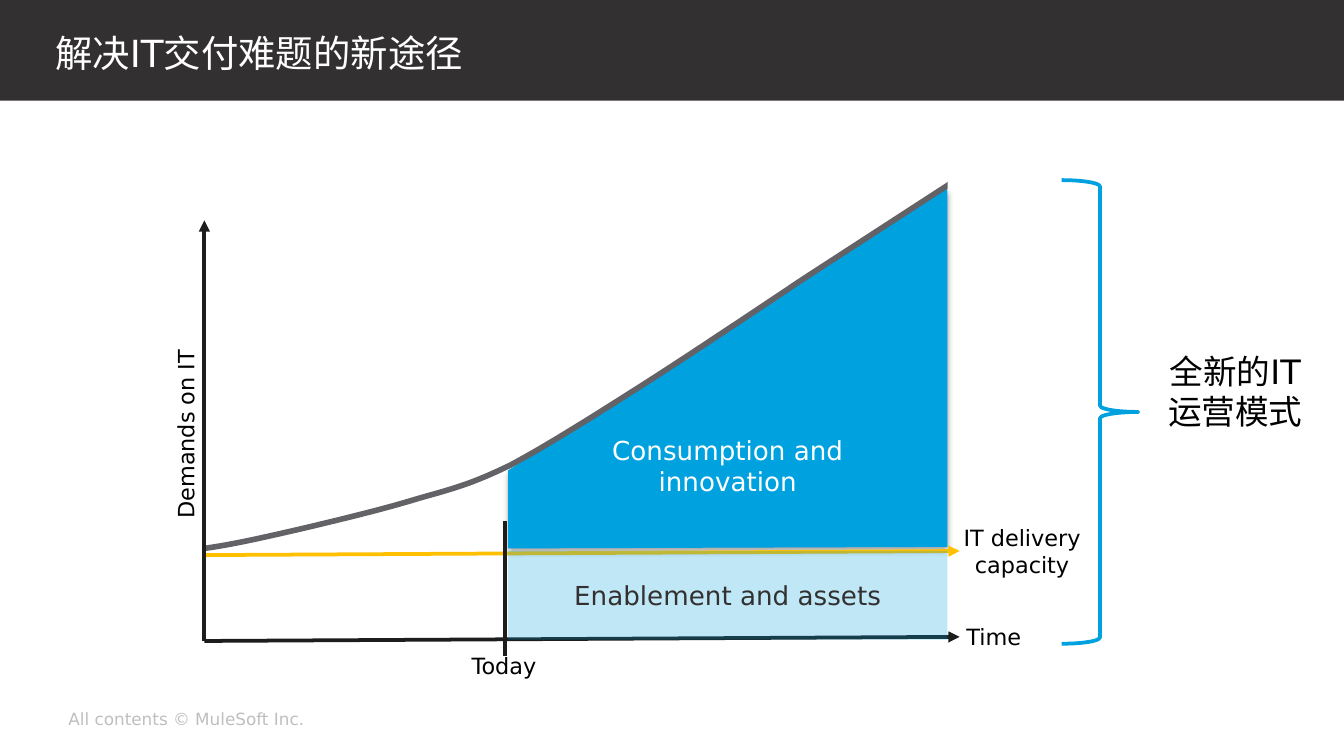
from dataclasses import dataclass

from lxml import etree
from pptx import Presentation
from pptx.dml.color import RGBColor
from pptx.enum.shapes import MSO_CONNECTOR, MSO_SHAPE
from pptx.enum.text import MSO_ANCHOR, PP_ALIGN
from pptx.oxml.ns import qn
from pptx.util import Pt

RECT, BRACE = MSO_SHAPE.RECTANGLE, MSO_SHAPE.RIGHT_BRACE
STRAIGHT = MSO_CONNECTOR.STRAIGHT
TOP, MIDDLE = MSO_ANCHOR.TOP, MSO_ANCHOR.MIDDLE
LEFT, CENTER = PP_ALIGN.LEFT, PP_ALIGN.CENTER


@dataclass(frozen=True)
class Theme:
    font: str = "DejaVu Sans"
    white: str = "FFFFFF"
    black: str = "000000"
    dark: str = "323031"
    axis: str = "1D1D1C"
    blue: str = "00A1DF"
    amber: str = "FFC000"
    curve: str = "626267"
    muted: str = "BFBFBF"
    title_size: int = 20
    model_size: int = 18
    area_size: int = 14
    label_size: int = 12
    footer_size: int = 9


THEME = Theme()


def write(shape, text, size, color, align=LEFT, anchor=TOP, insets=(0, 0, 0, 0), wrap=True):
    frame = shape.text_frame
    frame.word_wrap = wrap
    frame.vertical_anchor = anchor
    frame.margin_left, frame.margin_top, frame.margin_right, frame.margin_bottom = map(Pt, insets)
    paragraph = frame.paragraphs[0]
    paragraph.text = text
    paragraph.alignment = align
    paragraph.font.name = THEME.font
    paragraph.font.size = Pt(size)
    paragraph.font.color.rgb = RGBColor.from_string(color)
    return paragraph


def add_label(slide, box, text, size, color, **layout):
    label = slide.shapes.add_textbox(*map(Pt, box))
    write(label, text, size, color, **layout)
    return label


def paint(shape, fill=None, line=None, width=2):
    shape.shadow.inherit = False
    if fill:
        shape.fill.solid()
        shape.fill.fore_color.rgb = RGBColor.from_string(fill)
    else:
        shape.fill.background()
    if line:
        shape.line.color.rgb = RGBColor.from_string(line)
        shape.line.width = Pt(width)
    else:
        shape.line.fill.background()
    return shape


def add_block(slide, box, **colors):
    kind = colors.pop("kind", RECT)
    return paint(slide.shapes.add_shape(kind, *map(Pt, box)), **colors)


def add_outline(slide, points, close, **colors):
    # Scale of 100 units per point keeps the sampled curve smooth
    scaled = [(round(x * 100), round(y * 100)) for x, y in points]
    builder = slide.shapes.build_freeform(*scaled[0], scale=Pt(1) / 100)
    builder.add_line_segments(scaled[1:], close=close)
    return paint(builder.convert_to_shape(), **colors)


def add_line(slide, start, end, color, arrow=True):
    line = slide.shapes.add_connector(STRAIGHT, *map(Pt, (*start, *end)))
    line.line.color.rgb = RGBColor.from_string(color)
    line.line.width = Pt(2)
    properties = line._element.spPr
    if arrow:
        etree.SubElement(properties.find(qn("a:ln")), qn("a:tailEnd"), type="triangle")
    etree.SubElement(properties, qn("a:effectLst"))


def set_alpha(shape, percent):
    color = shape._element.spPr.find(qn("a:solidFill"))[0]
    etree.SubElement(color, qn("a:alpha"), val=str(percent * 1000))


def add_shadow(shape, percent, blur, distance):
    effects = shape._element.spPr.find(qn("a:effectLst"))
    shadow = etree.SubElement(effects, qn("a:outerShdw"), blurRad=str(Pt(blur)),
                              dist=str(Pt(distance)), dir="5400000", rotWithShape="0")
    color = etree.SubElement(shadow, qn("a:srgbClr"), val=THEME.black)
    etree.SubElement(color, qn("a:alpha"), val=str(percent * 1000))


def bezier(start, control1, control2, end, steps=16):
    for step in range(1, steps + 1):
        t = step / steps
        u = 1 - t
        yield tuple(u**3 * a + 3 * u * u * t * b + 3 * u * t * t * c + t**3 * d
                    for a, b, c, d in zip(start, control1, control2, end))


def demand_points():
    points = [(0, 200.2)]
    for segment in (
        ((10.7, 198.7), (21.5, 196.6), (41, 192.2)),
        ((59.7, 187.9), (93.5, 180), (114.4, 173.5)),
        ((134.6, 167.8), (143.2, 165.6), (164.1, 155.5)),
        ((184.3, 144.7), (211.6, 127.4), (237.5, 110.9)),
        ((263.5, 94.3), (320.3, 56.2), (320.3, 56.2)),
    ):
        points.extend(bezier(points[-1], *segment))
    return points + [(400.3, 4.3)]


def draw_header(slide, box):
    left, top, width, height = box
    add_block(slide, box, fill=THEME.dark)
    title = slide.shapes.add_textbox(Pt(left + 29.5), Pt(top + 6.5), Pt(width - 125), Pt(43))
    write(title, "解决IT交付难题的新途径", THEME.title_size, THEME.white,
          anchor=MIDDLE).line_spacing = Pt(24)


def draw_demand_chart(slide, box):
    left, top, width, height = box
    today, area_right = 162.7, 398.1

    def at(x, y):
        return left + x, top + y

    def label(x, y, w, h, text, **layout):
        return add_label(slide, (*at(x, y), w, h), text, THEME.label_size, THEME.black, **layout)

    # Gap between demand and capacity
    gap = [(today, 158.4), (today, 200.2), (area_right, 199.4), (area_right, 7.2)]
    consumption = add_outline(slide, [at(*point) for point in gap], True, fill=THEME.blue)
    add_shadow(consumption, 35, 3.1, 1.8)
    write(consumption, "Consumption and innovation", THEME.area_size, THEME.white,
          align=CENTER, anchor=MIDDLE, insets=(36, 108, 36, 3.6))

    # Time axis, capacity line and today marker
    add_line(slide, at(0, height), at(width, height - 2.2), THEME.axis)
    add_line(slide, at(0, 203.8), at(width, 201.6), THEME.amber)
    add_line(slide, at(161.2, 257.8), at(161.2, 185.8), THEME.axis, arrow=False)

    # Labels
    label(-56.9, 130.3, 93.6, 14.4, "Demands on IT", wrap=False).rotation = 270
    label(408.2, 240.5, 29.5, 14.4, "Time", wrap=False)
    label(143.2, 255.6, 36.7, 14.4, "Today", wrap=False)
    label(404.6, 187.2, 67, 28.8, "IT delivery capacity", align=CENTER)

    # Demand curve, with its end trimmed to the area's right edge
    add_outline(slide, [at(*point) for point in demand_points()], False,
                line=THEME.curve, width=3)
    enablement = add_block(slide, (*at(today, 201.6), area_right - today, 47.5), fill=THEME.blue)
    set_alpha(enablement, 25)
    write(enablement, "Enablement and assets", THEME.area_size, THEME.dark,
          align=CENTER, anchor=MIDDLE, insets=(28.8, 3.6, 28.8, 3.6))
    add_block(slide, (*at(area_right, 0), 10, 8.6), fill=THEME.white)

    # Demand axis
    add_line(slide, at(0, height), at(0, 24.5), THEME.axis)


def draw_operating_model(slide, box):
    left, top, width, height = box
    add_block(slide, (left, top, 41, height), kind=BRACE, line=THEME.blue)
    add_label(slide, (left + 49, top + 91.4, width - 49, 44), "全新的IT运营模式",
              THEME.model_size, THEME.black, align=CENTER)


def draw_footer(slide, box):
    add_label(slide, box, "All contents © MuleSoft Inc.", THEME.footer_size, THEME.muted,
              anchor=MIDDLE, wrap=False)


def main():
    deck = Presentation()
    deck.slide_width, deck.slide_height = Pt(720), Pt(405)
    slide = deck.slides.add_slide(deck.slide_layouts[6])
    draw_header(slide, (0, 0, 720, 54))
    draw_footer(slide, (36.7, 374.4, 200, 21.6))
    draw_demand_chart(slide, (109.5, 93.6, 404.6, 249.8))
    draw_operating_model(slide, (568.8, 96.5, 136.8, 248.4))
    deck.save("out.pptx")


if __name__ == "__main__":
    main()
